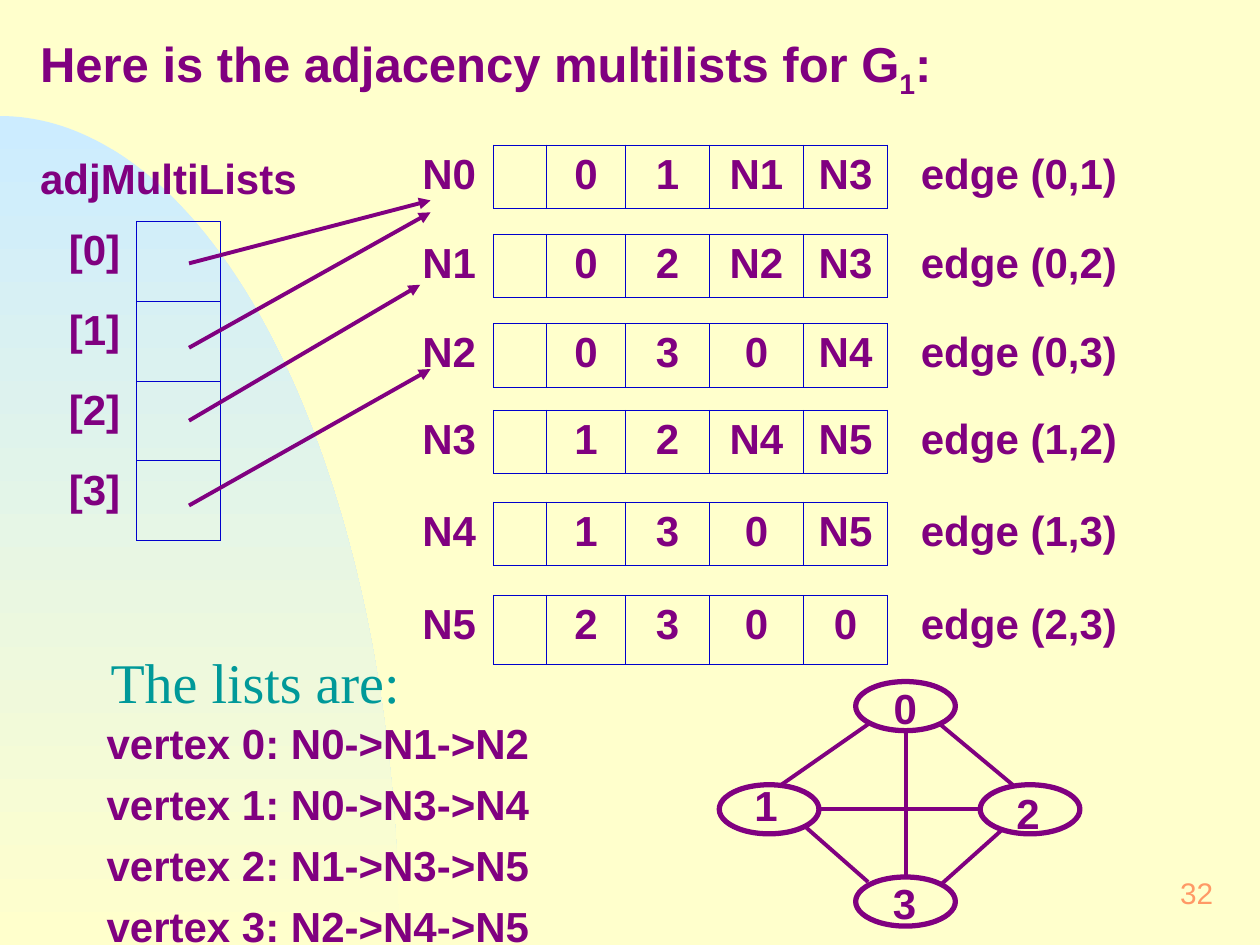
from math import cos, pi, sin

from lxml.etree import SubElement
from pptx import Presentation
from pptx.dml.color import RGBColor
from pptx.enum.shapes import MSO_CONNECTOR, MSO_SHAPE
from pptx.enum.text import MSO_ANCHOR, PP_ALIGN
from pptx.oxml import parse_xml
from pptx.oxml.ns import nsdecls, qn
from pptx.util import Cm, Pt

CREAM = RGBColor(0xFF, 0xFF, 0xCC)
SKY = RGBColor(0xCC, 0xEC, 0xFF)
PURPLE = RGBColor(0x80, 0x00, 0x80)
BLUE = RGBColor(0x00, 0x00, 0xCC)
TEAL = RGBColor(0x00, 0x99, 0x99)
ORANGE = RGBColor(0xFF, 0x99, 0x66)

ALL_SIDES = "LRTB"
NODE_WIDTH, NODE_HEIGHT = 2.01, 0.99

# Top of each row, its height, and its cells
NODE_ROWS = [
    (2.92, 1.28, ["N0", "", "0", "1", "N1", "N3", "edge (0,1)"]),
    (4.72, 1.28, ["N1", "", "0", "2", "N2", "N3", "edge (0,2)"]),
    (6.52, 1.28, ["N2", "", "0", "3", "0", "N4", "edge (0,3)"]),
    (8.27, 1.28, ["N3", "", "1", "2", "N4", "N5", "edge (1,2)"]),
    (10.12, 1.28, ["N4", "", "1", "3", "0", "N5", "edge (1,3)"]),
    (12, 1.39, ["N5", "", "2", "3", "0", "0", "edge (2,3)"]),
]
NODE_COLUMNS = [1.69, 1.07, 1.59, 1.69, 1.9, 1.69, 5.3]

# Start and end of each pointer from the vertex array
POINTERS = [
    (3.81, 5.31, 8.68, 4.04),
    (3.81, 7.01, 8.68, 4.28),
    (3.81, 8.48, 8.47, 5.74),
    (3.81, 10.19, 8.68, 7.44),
]

# Ellipse corner, then label corner, width and alignment
GRAPH_NODES = [
    ("0", 17.25, 13.74, 17.5, 13.6, 1.5, PP_ALIGN.CENTER),
    ("1", 14.5, 15.82, 14.91, 15.57, 1, PP_ALIGN.LEFT),
    ("2", 19.76, 15.82, 20.19, 15.72, 1.5, PP_ALIGN.LEFT),
    ("3", 17.25, 17.68, 17.7, 17.53, 1.5, PP_ALIGN.LEFT),
]
GRAPH_EDGES = [
    (18.26, 14.72, 18.26, 17.68),
    (17.5, 14.6, 15.75, 15.82),
    (19.76, 16.31, 16.51, 16.31),
    (18.95, 14.6, 20.45, 15.85),
    (20.22, 16.71, 18.97, 17.83),
    (16.26, 16.69, 17.5, 17.78),
]


def style_paragraph(paragraph, size=24, color=PURPLE, name="Arial", bold=True,
                    align=PP_ALIGN.LEFT):
    paragraph.alignment = align
    font = paragraph.font
    font.size, font.name, font.bold = Pt(size), name, bold
    font.color.rgb = color


def add_text(shapes, left, top, width, height, lines, inset=(0.3, 0.15),
             wrap=True, anchor=MSO_ANCHOR.TOP, **style):
    box = shapes.add_textbox(Cm(left), Cm(top), Cm(width), Cm(height))
    frame = box.text_frame
    frame.word_wrap = wrap
    frame.vertical_anchor = anchor
    frame.margin_left = frame.margin_right = Cm(inset[0])
    frame.margin_top = frame.margin_bottom = Cm(inset[1])
    frame.text = "\n".join(lines)
    for index, paragraph in enumerate(frame.paragraphs):
        if index:
            paragraph.space_before = Pt(6)
        style_paragraph(paragraph, **style)
    return frame


def add_line(shapes, start_x, start_y, end_x, end_y, arrow=False):
    line = shapes.add_connector(MSO_CONNECTOR.STRAIGHT, Cm(start_x), Cm(start_y),
                                Cm(end_x), Cm(end_y))
    line.line.color.rgb = PURPLE
    line.line.width = Pt(2.25)
    if arrow:
        SubElement(line.line._get_or_add_ln(), qn("a:tailEnd"), type="triangle")
    SubElement(line._element.spPr, qn("a:effectLst"))


def set_borders(cell, sides):
    properties = cell._tc.get_or_add_tcPr()
    for index, side in enumerate(ALL_SIDES):
        paint = (f'<a:solidFill><a:srgbClr val="{BLUE}"/></a:solidFill>'
                 if side in sides else "<a:noFill/>")
        border = parse_xml(f'<a:ln{side} {nsdecls("a")} w="{Pt(0.45)}">{paint}</a:ln{side}>')
        properties.insert(index, border)


def add_grid(shapes, left, top, columns, row_height, rows, cell_rule):
    """Draw a table; cell_rule gives a column's bordered sides and alignment."""
    frame = shapes.add_table(len(rows), len(columns), Cm(left), Cm(top),
                             Cm(sum(columns)), Cm(row_height * len(rows)))
    table = frame.table
    table.first_row = table.horz_banding = False
    for column, width in zip(table.columns, columns):
        column.width = Cm(width)
    for row_index, texts in enumerate(rows):
        table.rows[row_index].height = Cm(row_height)
        for column_index, text in enumerate(texts):
            cell = table.cell(row_index, column_index)
            sides, align = cell_rule(column_index)
            cell.fill.background()
            set_borders(cell, sides)
            cell.text = text
            style_paragraph(cell.text_frame.paragraphs[0], align=align)


def vertex_cell(column):
    return (ALL_SIDES if column else "R"), PP_ALIGN.CENTER


def node_cell(column):
    if column == 0:
        return "R", PP_ALIGN.LEFT
    last = column == len(NODE_COLUMNS) - 1
    return ("L" if last else ALL_SIDES), PP_ALIGN.CENTER


def add_backdrop(slide):
    slide.background.fill.solid()
    slide.background.fill.fore_color.rgb = CREAM
    # Quarter ellipse centred on the lower left corner
    width, height, bottom, steps = 8.05, 16.71, 19.05, 90
    angles = [pi / 2 * step / steps for step in range(steps + 1)]
    points = [(Cm(width * sin(angle)), Cm(bottom - height * cos(angle))) for angle in angles]
    builder = slide.shapes.build_freeform(*points[0])
    builder.add_line_segments(points[1:] + [(0, Cm(bottom))], close=True)
    shape = builder.convert_to_shape()
    shape.shadow.inherit = False
    shape.line.fill.background()
    shape.fill.gradient()
    shape.fill.gradient_angle = 270
    for stop, color in zip(shape.fill.gradient_stops, (SKY, CREAM)):
        stop.color.rgb = color


def add_graph(slide):
    shapes = slide.shapes.add_group_shape().shapes
    for text, left, top, label_left, label_top, label_width, align in GRAPH_NODES:
        ellipse = shapes.add_shape(MSO_SHAPE.OVAL, Cm(left), Cm(top),
                                   Cm(NODE_WIDTH), Cm(NODE_HEIGHT))
        ellipse.shadow.inherit = False
        ellipse.fill.background()
        ellipse.line.color.rgb = PURPLE
        ellipse.line.width = Pt(3)
        add_text(shapes, label_left, label_top, label_width, 1.32, [text], align=align)
    for edge in GRAPH_EDGES:
        add_line(shapes, *edge)


def main():
    presentation = Presentation()
    presentation.slide_width, presentation.slide_height = Cm(25.4), Cm(19.05)
    slide = presentation.slides.add_slide(presentation.slide_layouts[6])
    shapes = slide.shapes
    add_backdrop(slide)

    # Page number and title
    add_text(shapes, 19.48, 17.35, 5.28, 1.27, ["32"], wrap=False, anchor=MSO_ANCHOR.MIDDLE,
             size=17, color=ORANGE, bold=False, align=PP_ALIGN.RIGHT)
    title = add_text(shapes, 0.51, 0.53, 24.33, 1.68,
                     ["Here is the adjacency multilists for G"], size=28)
    subscript, colon = (title.paragraphs[0].add_run() for _ in range(2))
    subscript.text, colon.text = "1", ":"
    subscript._r.get_or_add_rPr().set("baseline", "-25000")

    # Vertex array and multilist nodes
    add_grid(shapes, 1.06, 4.46, [1.69, 1.69], 1.61,
             [[f"[{vertex}]", ""] for vertex in range(4)], vertex_cell)
    add_text(shapes, 0.51, 2.92, 5.79, 1.32, ["adjMultiLists"])
    for top, height, texts in NODE_ROWS:
        add_grid(shapes, 8.26, top, NODE_COLUMNS, height, [texts], node_cell)
    for pointer in POINTERS:
        add_line(shapes, *pointer, arrow=True)

    # Resulting lists
    lists = ["N0->N1->N2", "N0->N3->N4", "N1->N3->N5", "N2->N4->N5"]
    add_text(shapes, 1.9, 14.33, 9.2, 4.95, inset=(0.25, 0.13),
             lines=[f"vertex {vertex}: {chain}" for vertex, chain in enumerate(lists)])
    add_text(shapes, 1.98, 12.93, 6.63, 1.63, ["The lists are:"], inset=(0.25, 0.13),
             wrap=False, size=32, color=TEAL, name="Times New Roman", bold=False)

    add_graph(slide)
    presentation.save("out.pptx")


if __name__ == "__main__":
    main()
